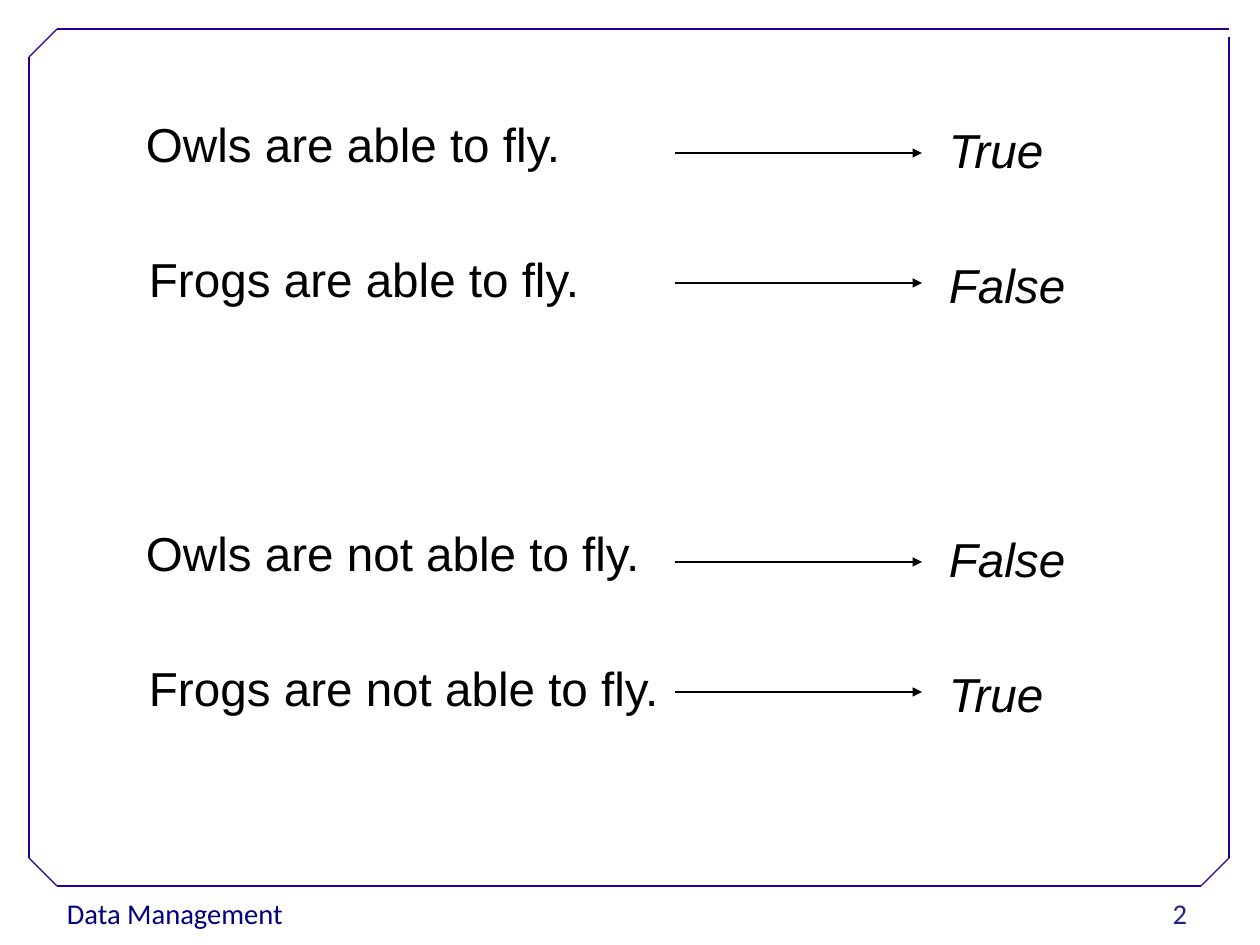
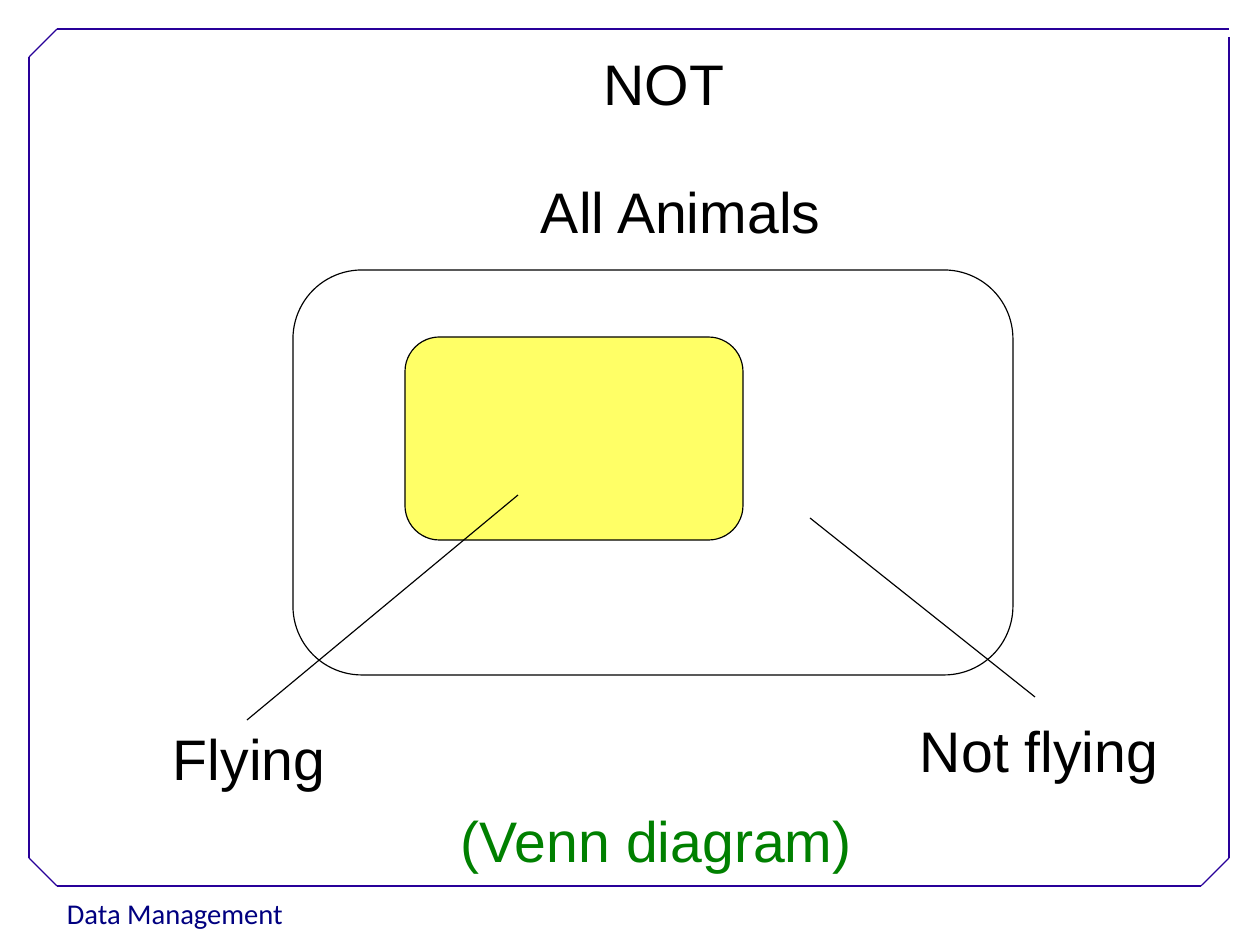
import pptx
import pptx.util
import pptx.dml.color
import pptx.enum.shapes
import pptx.enum.text
import pptx.oxml.ns
import lxml.etree

RGB = pptx.dml.color.RGBColor
BLACK = RGB(0x00, 0x00, 0x00)
NAVY = RGB(0x00, 0x00, 0x80)
BLUE = RGB(0x22, 0x22, 0x8B)
VIOLET = RGB(0x28, 0x00, 0x99)
GREEN = RGB(0x00, 0x80, 0x00)
YELLOW = RGB(0xFF, 0xFF, 0x66)
ALIGN = pptx.enum.text.PP_ALIGN
ANCHOR = pptx.enum.text.MSO_ANCHOR
WIDE, HIGH = 1260, 945


def px(count):
    """Turn pixels into EMU."""
    return pptx.util.Emu(count * 8000)


def write(slide, text, box, size=36, color=BLACK, font="Arial", italic=False,
          align=ALIGN.LEFT, anchor=ANCHOR.TOP, space=0.93, inset=9, shape=None):
    """Place one line of formatted text in a box or a given placeholder."""
    left, top, width, height = map(px, box)
    if shape is None:
        shape = slide.shapes.add_textbox(left, top, width, height)
    else:
        shape.left, shape.top, shape.width, shape.height = left, top, width, height
    frame = shape.text_frame
    frame.word_wrap = True
    frame.auto_size = pptx.enum.text.MSO_AUTO_SIZE.NONE
    frame.vertical_anchor = anchor
    frame.margin_left = frame.margin_right = px(11)
    frame.margin_top, frame.margin_bottom = px(inset), px(6)
    para = frame.paragraphs[0]
    para.alignment, para.line_spacing = align, space
    run = para.add_run()
    run.text = text
    run.font.name, run.font.size = font, pptx.util.Pt(size)
    run.font.italic, run.font.color.rgb = italic, color


def line(slide, start, end, color=BLACK, arrow=False):
    """Draw a thin straight line, with an arrowhead if asked."""
    kind = pptx.enum.shapes.MSO_CONNECTOR.STRAIGHT
    link = slide.shapes.add_connector(kind, *map(px, start + end))
    link.line.color.rgb, link.line.width = color, pptx.util.Pt(0.75)
    qn = pptx.oxml.ns.qn
    props = link.element.spPr
    if arrow:
        lxml.etree.SubElement(props.find(qn("a:ln")), qn("a:tailEnd"), type="triangle")
    lxml.etree.SubElement(props, qn("a:effectLst"))


def round_box(slide, box, fill=None):
    """Draw an outlined rounded rectangle."""
    kind = pptx.enum.shapes.MSO_SHAPE.ROUNDED_RECTANGLE
    shape = slide.shapes.add_shape(kind, *map(px, box))
    shape.adjustments[0] = 0.17
    shape.shadow.inherit = False
    if fill is None:
        shape.fill.background()
    else:
        shape.fill.solid()
        shape.fill.fore_color.rgb = fill
    shape.line.color.rgb, shape.line.width = BLACK, pptx.util.Pt(0.75)


def border(slide, box, cut=28):
    """Draw the shared frame with cut corners and the footer under it."""
    left, top, width, height = box
    right, base = left + width, top + height
    points = [(right, top + 8), (right, base - cut), (right - cut, base),
              (left + cut, base), (left, base - cut), (left, top + cut),
              (left + cut, top), (right, top)]
    for start, end in zip(points, points[1:]):
        line(slide, start, end, VIOLET)
    write(slide, "Data Management", (left + 27, base + 3, 250, 46), size=18,
          color=NAVY, font="Calibri", space=1.02, inset=6)


def pair(slide, box, rows):
    """Place two statements, each with an arrow to its truth value."""
    left, top, width, step = box
    for row, (text, truth) in enumerate(rows):
        y = top + row * step
        write(slide, text, (left + row * 3, y, width, 64), size=30)
        write(slide, truth, (left + 803, y + 6, 160, 64), size=30, italic=True)
        mid = y + 42 - row * 5
        line(slide, (left + 540, mid), (left + 787, mid), arrow=True)


def venn(slide, box):
    """Draw the set, its subset and their labels."""
    left, top, width, height = box
    round_box(slide, box)
    round_box(slide, (left + 112, top + 67, 338, 203), YELLOW)
    line(slide, (left + 225, top + 225), (left - 46, top + 450))
    line(slide, (left + 517, top + 248), (left + 742, top + 427))
    labels = [("All Animals", 237, -97, BLACK), ("Flying", -131, 450, BLACK),
              ("Not flying", 616, 442, BLACK), ("(Venn diagram)", 157, 532, GREEN)]
    for text, x, y, color in labels:
        write(slide, text, (left + x, top + y, 430 if x < 600 else 300, 75), color=color)


def main():
    """Build both slides and save the deck."""
    deck = pptx.Presentation()
    deck.slide_width, deck.slide_height = px(WIDE), px(HIGH)
    truths, sets = [deck.slides.add_slide(deck.slide_layouts[n]) for n in (6, 5)]
    for slide in (truths, sets):
        border(slide, (29, 29, 1200, 857))

    write(truths, "2", (904, 890, 294, 50), size=18, color=BLUE, font="Calibri",
          align=ALIGN.RIGHT, anchor=ANCHOR.MIDDLE, inset=6)
    pair(truths, (135, 111, 540, 135),
         [("Owls are able to fly.", "True"), ("Frogs are able to fly.", "False")])
    pair(truths, (135, 520, 540, 135),
         [("Owls are not able to fly.", "False"), ("Frogs are not able to fly.", "True")])

    write(sets, "NOT", (564, 45, 200, 75), align=ALIGN.CENTER, shape=sets.shapes.title)
    venn(sets, (293, 270, 720, 405))
    deck.save("out.pptx")


if __name__ == "__main__":
    main()
